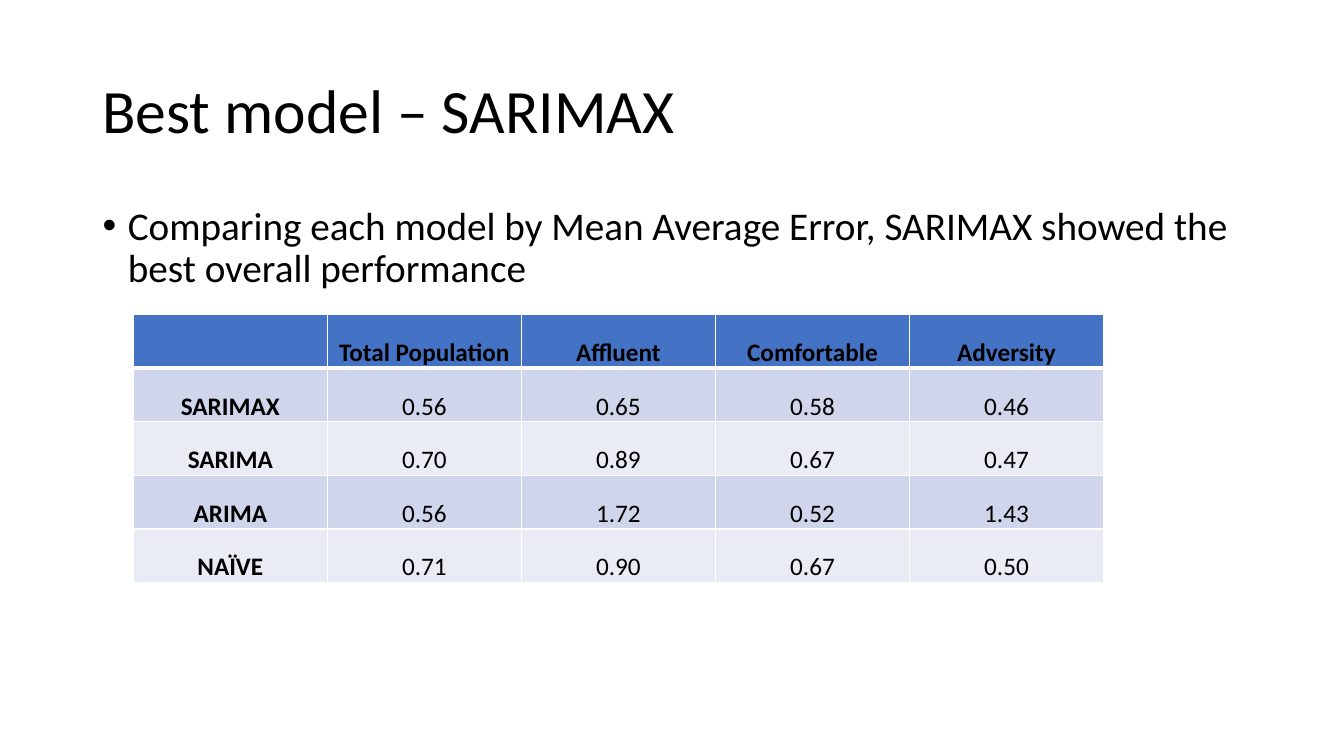
"""Build a slide that compares forecasting models by their mean error."""
from lxml import etree
from pptx import Presentation
from pptx.dml.color import RGBColor
from pptx.enum.text import MSO_ANCHOR, PP_ALIGN
from pptx.oxml.ns import qn
from pptx.util import Cm, Pt

LEFT, CENTER = PP_ALIGN.LEFT, PP_ALIGN.CENTER
MIDDLE, TOP, BOTTOM = MSO_ANCHOR.MIDDLE, MSO_ANCHOR.TOP, MSO_ANCHOR.BOTTOM

COLORS = {
    "text": "000000",
    "header": "4472C4",
    "odd": "CFD5EA",
    "even": "E9EBF5",
    "border": "FFFFFF",
}
MODEL_ERRORS = [
    ["", "Total Population", "Affluent", "Comfortable", "Adversity"],
    ["SARIMAX", "0.56", "0.65", "0.58", "0.46"],
    ["SARIMA", "0.70", "0.89", "0.67", "0.47"],
    ["ARIMA", "0.56", "1.72", "0.52", "1.43"],
    ["NAÏVE", "0.71", "0.90", "0.67", "0.50"],
]


def write(frame, text, size=18, bold=False, align=LEFT, spacing=1.0, before=0):
    paragraph = frame.paragraphs[0]
    paragraph.alignment = align
    paragraph.line_spacing = spacing
    paragraph.space_before = Pt(before)
    run = paragraph.add_run()
    run.text = text
    run.font.name = "Calibri"
    run.font.size = Pt(size)
    run.font.bold = bold
    run.font.color.rgb = RGBColor.from_string(COLORS["text"])
    return paragraph


class ModelSlide:
    def __init__(self, slide):
        self.slide = slide
        self.thin, self.thick = Pt(1), Pt(3)

    def place(self, holder, left, top, width, height, anchor):
        holder.left, holder.top = Cm(left), Cm(top)
        holder.width, holder.height = Cm(width), Cm(height)
        holder.text_frame.vertical_anchor = anchor
        holder.text_frame.word_wrap = True
        return holder.text_frame

    def title(self, text, *box):
        frame = self.place(self.slide.shapes.title, *box, MIDDLE)
        write(frame, text, size=44, spacing=0.9)

    def bullet(self, text, *box):
        frame = self.place(self.slide.placeholders[1], *box, TOP)
        paragraph = write(frame, text, size=28, spacing=0.9, before=10)
        properties = paragraph._p.get_or_add_pPr()
        properties.set("marL", str(Cm(0.64)))
        properties.set("indent", str(Cm(-0.64)))
        etree.SubElement(properties, qn("a:buFont"), typeface="Arial")
        etree.SubElement(properties, qn("a:buChar"), char="•")

    def borders(self, cell, top, bottom):
        properties = cell._tc.get_or_add_tcPr()
        widths = {"lnL": self.thin, "lnR": self.thin, "lnT": top, "lnB": bottom}
        for side, width in widths.items():
            line = etree.SubElement(properties, qn(f"a:{side}"), w=str(width))
            fill = etree.SubElement(line, qn("a:solidFill"))
            etree.SubElement(fill, qn("a:srgbClr"), val=COLORS["border"])

    def cell(self, cell, text, row, column):
        self.borders(cell, self.thick if row == 1 else self.thin,
                     self.thick if row == 0 else self.thin)
        shade = "header" if row == 0 else "odd" if row % 2 else "even"
        cell.fill.solid()
        cell.fill.fore_color.rgb = RGBColor.from_string(COLORS[shade])
        cell.vertical_anchor = BOTTOM
        cell.margin_left = cell.margin_right = cell.margin_top = Cm(0.03)
        cell.margin_bottom = 0
        if text:
            write(cell.text_frame, text, bold=row == 0 or column == 0, align=CENTER)

    def table(self, rows, left, top, column_width, row_height):
        count = len(rows[0])
        table = self.slide.shapes.add_table(
            len(rows), count, Cm(left), Cm(top),
            Cm(column_width * count), Cm(row_height * len(rows))).table
        for row, values in enumerate(rows):
            for column, value in enumerate(values):
                self.cell(table.cell(row, column), value, row, column)


def main():
    deck = Presentation()
    deck.slide_width, deck.slide_height = Cm(33.87), Cm(19.05)
    page = ModelSlide(deck.slides.add_slide(deck.slide_layouts[1]))
    page.title("Best model – SARIMAX", 2.33, 1.01, 29.21, 3.68)
    page.bullet("Comparing each model by Mean Average Error, SARIMAX showed "
                "the best overall performance", 2.33, 5.07, 29.21, 12.09)
    page.table(MODEL_ERRORS, 3.36, 7.93, 4.89, 1.35)
    deck.save("out.pptx")


if __name__ == "__main__":
    main()
